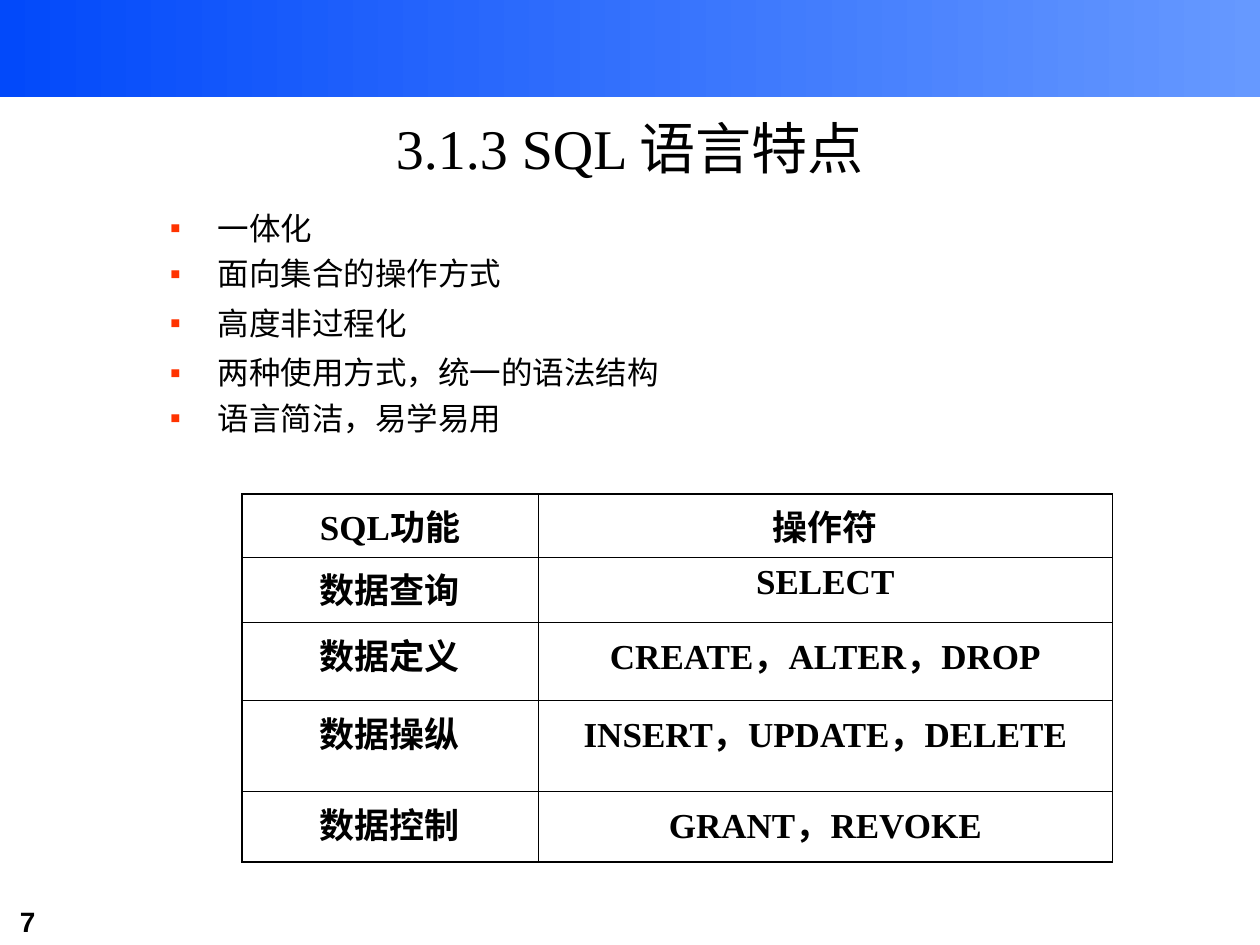
import pptx
import pptx.util
import pptx.dml.color
import pptx.enum.shapes
import pptx.enum.text
import pptx.oxml
import pptx.oxml.ns

Inches = pptx.util.Inches
Pt = pptx.util.Pt
RGBColor = pptx.dml.color.RGBColor
ALIGN = pptx.enum.text.PP_ALIGN
ANCHOR = pptx.enum.text.MSO_ANCHOR
BLACK = RGBColor(0x00, 0x00, 0x00)
RED = RGBColor(0xFF, 0x33, 0x00)
BLUE = RGBColor(0x02, 0x49, 0xFA)
SKY = RGBColor(0x66, 0x99, 0xFF)
SERIF = "Times New Roman"
NS = pptx.oxml.ns.nsdecls("a")


def style(para, text, size, name=SERIF, bold=False):
    para.text = text
    for run in para.runs:
        run.font.size = Pt(size)
        run.font.name = name
        run.font.bold = bold
        run.font.color.rgb = BLACK


def add_box(left, top, width, height):
    box = slide.shapes.add_textbox(Inches(left), Inches(top), Inches(width), Inches(height))
    box.text_frame.word_wrap = True
    return box.text_frame


deck = pptx.Presentation()
deck.slide_width = Inches(10)
deck.slide_height = Inches(7.5)
slide = deck.slides.add_slide(deck.slide_layouts[6])

band = slide.shapes.add_shape(
    pptx.enum.shapes.MSO_SHAPE.RECTANGLE, 0, 0, Inches(10), Inches(0.77))
band.shadow.inherit = False
band.line.fill.background()
band.fill.gradient()
band.fill.gradient_angle = 0
for stop, color in zip(band.fill.gradient_stops, (BLUE, SKY)):
    stop.color.rgb = color

page = add_box(0.06, 7.13, 1.22, 0.37).paragraphs[0]
style(page, "7", 16, "Arial", True)
page.space_before = Pt(10)

title = add_box(0.75, 0.67, 8.5, 1)
title.vertical_anchor = ANCHOR.MIDDLE
style(title.paragraphs[0], "3.1.3 SQL 语言特点", 32)
title.paragraphs[0].alignment = ALIGN.CENTER

points = [
    ("一体化", 4.5, 1.1),
    ("面向集合的操作方式", 2.2, 1.1),
    ("高度非过程化", 4.5, 1.1),
    ("两种使用方式，统一的语法结构", 4.5, 1.1),
    ("语言简洁，易学易用", 4.5, 1.0),
]
body = add_box(1.25, 1.58, 8.5, 2.08)
for i, (text, before, line) in enumerate(points):
    para = body.add_paragraph() if i else body.paragraphs[0]
    style(para, text, 18)
    para.space_before = Pt(before)
    para.line_spacing = line
    props = para._p.get_or_add_pPr()
    props.set("marL", str(Inches(0.38)))
    props.set("indent", str(-Inches(0.38)))
    for xml in (
        f'<a:buClr {NS}><a:srgbClr val="{RED}"/></a:buClr>',
        f'<a:buFont {NS} typeface="Arial"/>',
        f'<a:buChar {NS} char="▪"/>',
    ):
        props.append(pptx.oxml.parse_xml(xml))

rows = [
    ("SQL功能", "操作符"),
    ("数据查询", "SELECT"),
    ("数据定义", "CREATE，ALTER，DROP"),
    ("数据操纵", "INSERT，UPDATE，DELETE"),
    ("数据控制", "GRANT，REVOKE"),
]
widths = [2.35, 4.56]
heights = [0.5, 0.52, 0.62, 0.72, 0.56]
table = slide.shapes.add_table(
    len(rows), len(widths), Inches(1.92), Inches(3.92),
    Inches(sum(widths)), Inches(sum(heights))).table
table.first_row = False
table.horz_banding = False
for col, width in zip(table.columns, widths):
    col.width = Inches(width)
for row, height in zip(table.rows, heights):
    row.height = Inches(height)
for r, texts in enumerate(rows):
    for c, text in enumerate(texts):
        cell = table.cell(r, c)
        para = cell.text_frame.paragraphs[0]
        style(para, text, 20, bold=True)
        para.alignment = ALIGN.CENTER
        para.space_before = Pt(5)
        props = cell._tc.get_or_add_tcPr()
        edges = {"L": c == 0, "R": c == len(widths) - 1,
                 "T": r == 0, "B": r == len(rows) - 1}
        for side, outer in edges.items():
            width = Pt(1.08 if outer else 0.45)
            props.append(pptx.oxml.parse_xml(
                f'<a:ln{side} {NS} w="{width}"><a:solidFill>'
                f'<a:srgbClr val="{BLACK}"/></a:solidFill></a:ln{side}>'))
        cell.fill.background()

deck.save("out.pptx")
